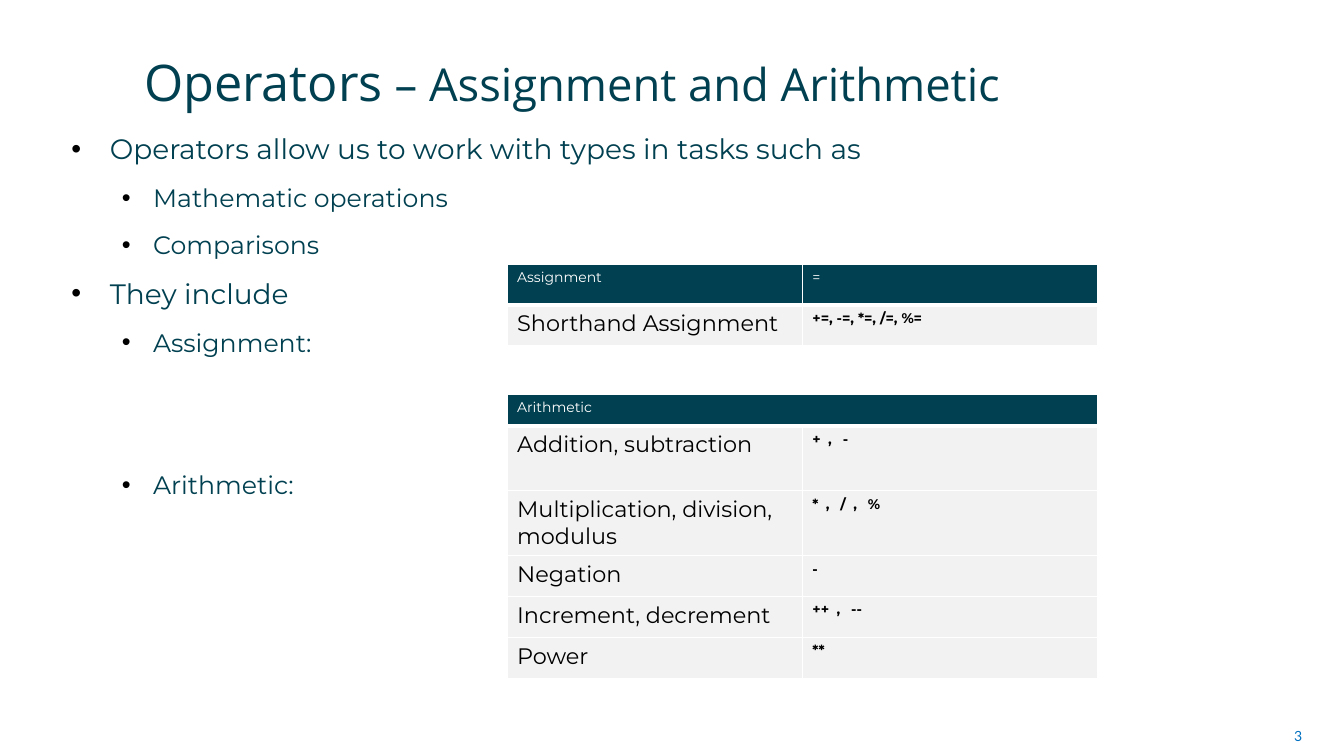
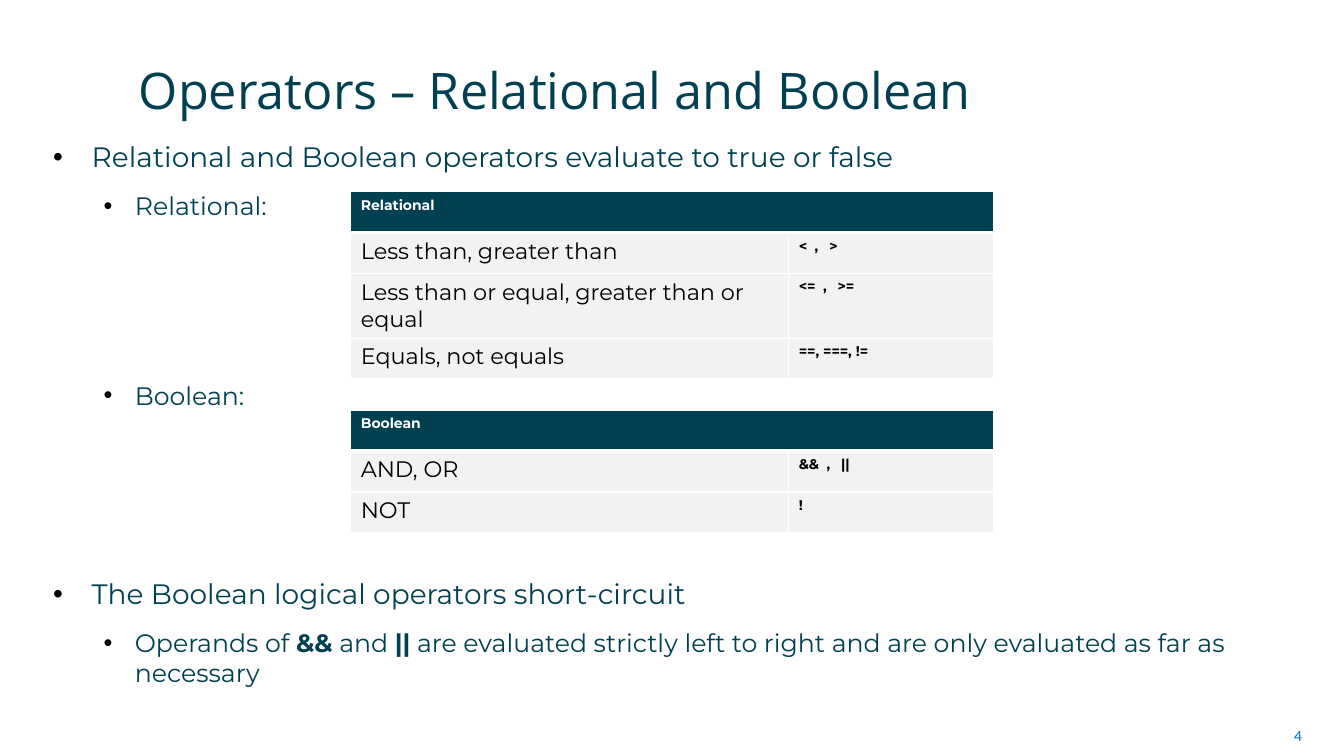
from lxml import etree
from pptx import Presentation
from pptx.dml.color import RGBColor
from pptx.enum.text import MSO_ANCHOR, PP_ALIGN
from pptx.oxml.ns import qn
from pptx.util import Cm, Pt

BOTTOM, MIDDLE, TOP = MSO_ANCHOR.BOTTOM, MSO_ANCHOR.MIDDLE, MSO_ANCHOR.TOP
LEFT, RIGHT = PP_ALIGN.LEFT, PP_ALIGN.RIGHT
COLORS = {"teal": "004050", "blue": "0070C0", "white": "FFFFFF",
          "gray": "F2F2F2", "black": "000000"}
TITLE_FONT, BODY_FONT, NUMBER_FONT = "Open Sans", "Montserrat", "Lato"
BULLET_LEVELS = [(20, 0.97, -0.97), (18, 2.06, -0.79)]
LINE_GAP = 6
SYMBOL_GAP = "250"
ROW, TALL_ROW, LOW_ROW = 1.03, 1.63, 0.81


def add_run(paragraph, text, size, font, color, bold=False):
    """Append one styled run and return it."""
    run = paragraph.add_run()
    run.text = text
    run.font.size = Pt(size)
    run.font.name = font
    run.font.bold = bold
    run.font.color.rgb = RGBColor.from_string(COLORS[color])
    return run


def add_frame(slide, box, anchor, bottom_inset=0.13):
    """Add a wrapping text box and return its text frame."""
    frame = slide.shapes.add_textbox(*map(Cm, box)).text_frame
    frame.word_wrap = True
    frame.vertical_anchor = anchor
    frame.margin_bottom = Cm(bottom_inset)
    return frame


def add_title(slide, box, parts):
    """Place the title from (text, size) parts."""
    paragraph = add_frame(slide, box, BOTTOM, 0).paragraphs[0]
    paragraph.alignment = LEFT
    for text, size in parts:
        add_run(paragraph, text, size, TITLE_FONT, "teal")


def add_page_number(slide, number):
    """Place the page number in the bottom right corner."""
    paragraph = add_frame(slide, (25.17, 18.03, 7.9, 1.02), MIDDLE).paragraphs[0]
    paragraph.alignment = RIGHT
    add_run(paragraph, str(number), 10, NUMBER_FONT, "blue")


def set_bullet(paragraph, margin, indent):
    """Give a paragraph a black bullet and a hanging indent."""
    properties = paragraph._p.get_or_add_pPr()
    properties.set("marL", str(Cm(margin)))
    properties.set("indent", str(Cm(indent)))
    bullet_color = etree.SubElement(properties, qn("a:buClr"))
    etree.SubElement(bullet_color, qn("a:srgbClr"), val=COLORS["black"])
    etree.SubElement(properties, qn("a:buFont"), typeface="Arial")
    etree.SubElement(properties, qn("a:buChar"), char="•")


def add_bullets(slide, box, items):
    """Place bullets from (level, space before, (text, bold) parts) items."""
    frame = add_frame(slide, box, TOP)
    for index, (level, space, parts) in enumerate(items):
        paragraph = frame.add_paragraph() if index else frame.paragraphs[0]
        size, margin, indent = BULLET_LEVELS[level]
        paragraph.level = level
        paragraph.space_before = Pt(space)
        paragraph.space_after = Pt(LINE_GAP)
        set_bullet(paragraph, margin, indent)
        for text, bold in parts:
            add_run(paragraph, text, size, BODY_FONT, "teal", bold)


def style_cell(cell, fill, bottom_width):
    """Give a cell white borders and a fill."""
    properties = cell._tc.get_or_add_tcPr()
    for side, width in (("L", 1), ("R", 1), ("T", 1), ("B", bottom_width)):
        line = etree.SubElement(properties, qn(f"a:ln{side}"), w=str(Pt(width)))
        line_fill = etree.SubElement(line, qn("a:solidFill"))
        etree.SubElement(line_fill, qn("a:srgbClr"), val=COLORS["white"])
    cell.fill.solid()
    cell.fill.fore_color.rgb = RGBColor.from_string(COLORS[fill])


def write_symbols(paragraph, symbols):
    """Write operators in bold, with wide spacing around lone commas."""
    for index, symbol in enumerate(symbols.split(" , ")):
        if index:
            comma = add_run(paragraph, " , ", 10, BODY_FONT, "black", True)
            comma.font._element.set("spc", SYMBOL_GAP)
        add_run(paragraph, symbol, 10, BODY_FONT, "black", True)


def add_operator_table(slide, origin, widths, heights, header, rows, bold_header=False):
    """Place a table with a header row above operator names and symbols."""
    table = slide.shapes.add_table(
        len(heights), len(widths), *map(Cm, (*origin, sum(widths), sum(heights)))).table
    table.first_row = table.horz_banding = False
    for column, width in zip(table.columns, widths):
        column.width = Cm(width)
    for index, (row, height) in enumerate(zip(table.rows, heights)):
        row.height = Cm(height)
        for cell in row.cells:
            style_cell(cell, "gray" if index else "teal", 1 if index else 3)
    for column, text in enumerate(header):
        add_run(table.cell(0, column).text_frame.paragraphs[0], text, 10,
                BODY_FONT, "white", bold_header)
    if len(header) == 1:
        table.cell(0, 0).merge(table.cell(0, 1))
    for index, (name, symbols) in enumerate(rows, 1):
        add_run(table.cell(index, 0).text_frame.paragraphs[0], name, 16, BODY_FONT, "black")
        write_symbols(table.cell(index, 1).text_frame.paragraphs[0], symbols)


def build_arithmetic(slide):
    """Build the slide on assignment and arithmetic operators."""
    add_page_number(slide, 3)
    add_bullets(slide, (1.55, 3.2, 31.67, 12.62), [
        (0, LINE_GAP, [("Operators allow us to work with types in tasks such as", False)]),
        (1, LINE_GAP, [("Mathematic operations", False)]),
        (1, LINE_GAP, [("Comparisons", False)]),
        (0, LINE_GAP, [("They include", False)]),
        (1, LINE_GAP, [("Assignment:", False)]),
        (1, 74, [("Arithmetic:", False)]),
    ])
    add_title(slide, (3.38, 1.07, 25.35, 1.75),
              [("Operators", 36), (" – Assignment and Arithmetic", 32.4)])
    widths = [7.44, 7.44]
    add_operator_table(slide, (12.78, 6.65), widths, [ROW] * 2, ["Assignment", "="],
                       [("Shorthand Assignment", "+=, -=, *=, /=, %=")])
    add_operator_table(
        slide, (12.78, 9.93), widths, [LOW_ROW] + [TALL_ROW] * 2 + [ROW] * 3, ["Arithmetic"], [
            ("Addition, subtraction", "+ , -"),
            ("Multiplication, division, modulus", "* , / , %"),
            ("Negation", "-"),
            ("Increment, decrement", "++ , --"),
            ("Power", "**"),
        ])


def build_relational(slide):
    """Build the slide on relational and Boolean operators."""
    add_page_number(slide, 4)
    add_bullets(slide, (1.09, 3.4, 31.67, 12.62), [
        (0, LINE_GAP, [("Relational and Boolean operators evaluate to true or false", False)]),
        (1, LINE_GAP, [("Relational:", False)]),
        (1, 108, [("Boolean:", False)]),
        (0, 113, [("The Boolean logical operators short-circuit", False)]),
        (1, LINE_GAP, [
            ("Operands of ", False), ("&&", True), (" and ", False), ("||", True),
            (" are evaluated strictly left to right and are only evaluated"
             " as far as necessary", False)]),
    ])
    add_title(slide, (3.25, 0.43, 26.26, 2.59), [("Operators – Relational and Boolean", 36)])
    widths = [11.04, 5.17]
    add_operator_table(
        slide, (8.84, 4.83), widths, [ROW, ROW, TALL_ROW, ROW], ["Relational"], [
            ("Less than, greater than", "< , >"),
            ("Less than or equal, greater than or equal", "<= , >="),
            ("Equals, not equals", "==, ===, !="),
        ], True)
    add_operator_table(slide, (8.84, 10.34), widths, [ROW] * 3, ["Boolean"],
                       [("AND, OR", "&& , ||"), ("NOT", "!")], True)


def main():
    """Build and save the presentation."""
    deck = Presentation()
    deck.slide_width, deck.slide_height = Cm(33.87), Cm(19.05)
    for build in (build_arithmetic, build_relational):
        build(deck.slides.add_slide(deck.slide_layouts[6]))
    deck.save("out.pptx")


main()
